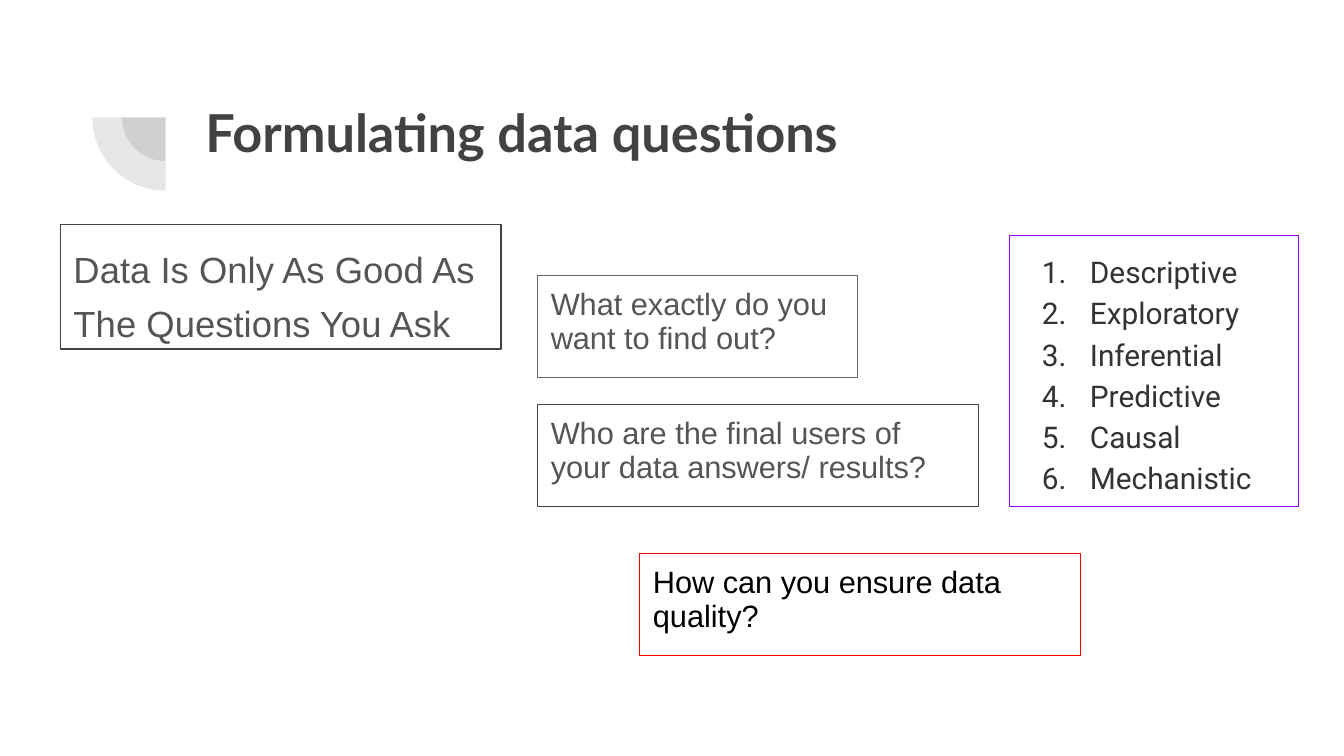
from dataclasses import dataclass

from lxml import etree
from pptx import Presentation
from pptx.dml.color import RGBColor
from pptx.enum.shapes import MSO_SHAPE
from pptx.enum.text import MSO_ANCHOR, MSO_AUTO_SIZE, PP_ALIGN
from pptx.oxml.ns import qn
from pptx.util import Cm, Pt

RECTANGLE, PIE = MSO_SHAPE.RECTANGLE, MSO_SHAPE.PIE
TOP, LEFT = MSO_ANCHOR.TOP, PP_ALIGN.LEFT
GROW, FIXED = MSO_AUTO_SIZE.SHAPE_TO_FIT_TEXT, MSO_AUTO_SIZE.NONE
DARK, GREY, CHARCOAL = "424242", "555555", "333333"
INSET = Cm(0.25)


@dataclass
class Panel:
    left: float
    top: float
    width: float
    height: float
    lines: list[str]
    border: str | None = None
    color: str = GREY
    font: str = "Arial"
    size: float = 16.5
    spacing: float = 0.91
    after: float = 12
    bold: bool = False
    numbered: bool = False


def rgb(code: str) -> RGBColor:
    return RGBColor.from_string(code)


def assign(target, values: dict) -> None:
    for key, value in values.items():
        setattr(target, key, value)


def number(paragraph, color: str) -> None:
    props = paragraph._p.get_or_add_pPr()
    props.set("marL", str(Cm(1.27)))
    props.set("indent", str(-Cm(0.91)))
    bullet_color = etree.SubElement(props, qn("a:buClr"))
    etree.SubElement(bullet_color, qn("a:srgbClr"), val=color)
    etree.SubElement(props, qn("a:buAutoNum"), type="arabicPeriod")


def draw_panel(slide, panel: Panel) -> None:
    place = map(Cm, (panel.left, panel.top, panel.width, panel.height))
    if panel.border:
        box = slide.shapes.add_shape(RECTANGLE, *place)
        box.shadow.inherit = False
        box.fill.background()
        box.line.color.rgb = rgb(panel.border)
        box.line.width = Pt(0.75)
    else:
        box = slide.shapes.add_textbox(*place)
    frame = box.text_frame
    frame.text = "\n".join(panel.lines)
    assign(frame, {
        "word_wrap": True, "vertical_anchor": TOP,
        "auto_size": GROW if panel.border else FIXED,
        "margin_left": INSET, "margin_right": INSET,
        "margin_top": INSET, "margin_bottom": INSET,
    })
    for paragraph in frame.paragraphs:
        assign(paragraph, {
            "alignment": LEFT, "line_spacing": panel.spacing,
            "space_after": Pt(panel.after),
        })
        if panel.numbered:
            number(paragraph, panel.color)
        font = paragraph.runs[0].font
        assign(font, {"name": panel.font, "size": Pt(panel.size), "bold": panel.bold})
        font.color.rgb = rgb(panel.color)


def draw_quarter(slide, center_x: float, center_y: float, diameter: float) -> None:
    radius = diameter / 2
    quarter = slide.shapes.add_shape(
        PIE, Cm(center_x - radius), Cm(center_y - radius), Cm(diameter), Cm(diameter))
    quarter.adjustments[0], quarter.adjustments[1] = 108, 162
    quarter.rotation = 270
    quarter.shadow.inherit = False
    quarter.fill.solid()
    quarter.fill.fore_color.rgb = rgb(DARK)
    fill_color = quarter.fill._xPr.find(qn("a:solidFill"))[0]
    etree.SubElement(fill_color, qn("a:alpha"), val="13000")
    quarter.line.fill.background()


PANELS = [
    Panel(3.63, 1.65, 19.53, 2.77, ["Formulating data questions"], color=DARK,
          font="Lato", size=28, spacing=1, after=0, bold=True),
    Panel(1.14, 4.24, 8.33, 2.36, ["Data Is Only As Good As The Questions You Ask"],
          DARK, size=19.5, spacing=1.23),
    Panel(10.16, 5.21, 6.05, 1.93, ["What exactly do you want to find out?"], "666666"),
    Panel(10.16, 7.65, 8.33, 1.93,
          ["Who are the final users of your data answers/ results?"], "434343"),
    Panel(12.09, 10.46, 8.33, 1.93, ["How can you ensure data quality?"],
          "FF0000", color="000000"),
    Panel(19.08, 4.45, 5.46, 5.13,
          ["Descriptive", "Exploratory", "Inferential", "Predictive", "Causal",
           "Mechanistic"],
          "9900FF", color=CHARCOAL, font="Roboto", size=16, spacing=1.15, after=0,
          numbered=True),
]

deck = Presentation()
deck.slide_width, deck.slide_height = Cm(25.4), Cm(14.29)
slide = deck.slides.add_slide(deck.slide_layouts[6])
for diameter in (1.65, 2.77):
    draw_quarter(slide, 3.13, 2.22, diameter)
for panel in PANELS:
    draw_panel(slide, panel)
deck.save("out.pptx")
